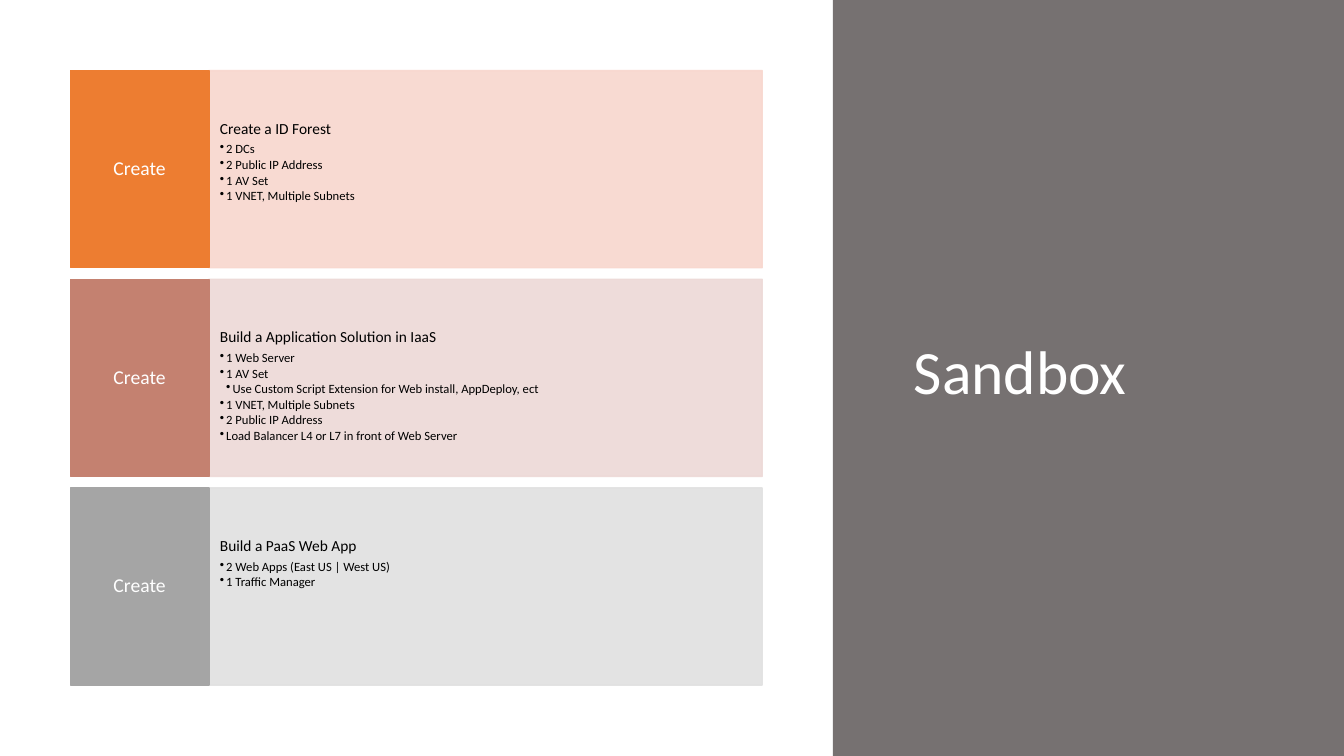
from lxml.etree import SubElement
from pptx import Presentation
from pptx.dml.color import RGBColor
from pptx.enum.shapes import MSO_SHAPE as Shape
from pptx.enum.text import MSO_ANCHOR as Anchor, PP_ALIGN as Align
from pptx.oxml.ns import qn
from pptx.util import Pt

WHITE = RGBColor(0xFF, 0xFF, 0xFF)
BLACK = RGBColor(0, 0, 0)
SLATE = RGBColor(0x76, 0x71, 0x71)
ORANGE, PEACH = RGBColor(0xED, 0x7D, 0x31), RGBColor(0xF8, 0xD7, 0xCE)
CLAY, ROSE = RGBColor(0xC4, 0x81, 0x70), RGBColor(0xED, 0xD9, 0xD7)
GRAY, PALE = RGBColor(0xA5, 0xA5, 0xA5), RGBColor(0xE1, 0xE1, 0xE1)
FONT = "Calibri"
WIDE, HIGH = 960, 540
STEP = 4.5  # bullet indent per level

# Each row: label, label colour, panel colour, heading, (level, bullet) pairs
ROWS = [
    ("Create", ORANGE, PEACH, "Create a ID Forest", [
        (1, "2 DCs"),
        (1, "2 Public IP Address"),
        (1, "1 AV Set"),
        (1, "1 VNET, Multiple Subnets")]),
    ("Create", CLAY, ROSE, "Build a Application Solution in IaaS", [
        (1, "1 Web Server"),
        (1, "1 AV Set"),
        (2, "Use Custom Script Extension for Web install, AppDeploy, ect"),
        (1, "1 VNET, Multiple Subnets"),
        (1, "2 Public IP Address"),
        (1, "Load Balancer L4 or L7 in front of Web Server")]),
    ("Create", GRAY, PALE, "Build a PaaS Web App", [
        (1, "2 Web Apps (East US | West US)"),
        (1, "1 Traffic Manager")]),
]


def add_rect(slide, x, y, w, h, color):
    rect = slide.shapes.add_shape(Shape.RECTANGLE, Pt(x), Pt(y), Pt(w), Pt(h))
    rect.shadow.inherit = False
    rect.fill.solid()
    rect.fill.fore_color.rgb = color
    rect.line.color.rgb = color
    rect.line.width = Pt(1)
    return rect


def set_frame(frame, anchor, side, edge):
    frame.word_wrap = True
    frame.vertical_anchor = anchor
    frame.margin_left = frame.margin_right = Pt(side)
    frame.margin_top = frame.margin_bottom = Pt(edge)


def style(para, size, color, align=Align.LEFT, after=0):
    para.alignment = align
    para.line_spacing = 0.9
    para.space_after = Pt(after)
    for run in para.runs:
        run.font.name = FONT
        run.font.size = Pt(size)
        run.font.color.rgb = color


def add_bullet(para, level):
    para.level = level
    props = para._p.get_or_add_pPr()
    props.set("marL", str(Pt(STEP * level)))
    props.set("indent", str(Pt(-STEP)))
    SubElement(props, qn("a:buChar")).set("char", "•")


def fade(shape, percent):
    """Set the opacity of the fill and the line."""
    for tint in shape._element.spPr.iter(qn("a:srgbClr")):
        SubElement(tint, qn("a:alpha")).set("val", str(percent * 1000))


def add_panel(slide, x, y, w, h, color, head, items):
    panel = add_rect(slide, x, y, w, h, color)
    fade(panel, 90)
    frame = panel.text_frame
    set_frame(frame, Anchor.TOP, 7.9, 36)
    frame.text = head
    style(frame.paragraphs[0], 11, BLACK, after=3.85)
    for level, text in items:
        para = frame.add_paragraph()
        para.text = text
        style(para, 9, BLACK, after=1.35)
        add_bullet(para, level)


def add_label(slide, x, y, w, h, color, text):
    frame = add_rect(slide, x, y, w, h, color).text_frame
    set_frame(frame, Anchor.MIDDLE, 5, 13.7)
    frame.text = text
    style(frame.paragraphs[0], 14, WHITE, Align.CENTER)


def add_rows(slide, x, y, w, h):
    gap, side = 8.2, 99
    tall = (h - gap * (len(ROWS) - 1)) / len(ROWS)
    for i, (label, dark, light, head, items) in enumerate(ROWS):
        top = y + i * (tall + gap)
        add_panel(slide, x + side, top, w - side, tall, light, head, items)
        add_label(slide, x, top, side, tall, dark, label)


def add_side(slide, x, y, w, h):
    add_rect(slide, x, y, w, h, SLATE).line.fill.background()
    box = slide.shapes.add_textbox(Pt(x + 50.6), Pt(y + 50.6), Pt(w - 76), Pt(433.4))
    set_frame(box.text_frame, Anchor.MIDDLE, 7.2, 3.6)
    box.text_frame.text = "Sandbox"
    style(box.text_frame.paragraphs[0], 44, WHITE)


def main():
    deck = Presentation()
    deck.slide_width, deck.slide_height = Pt(WIDE), Pt(HIGH)
    slide = deck.slides.add_slide(deck.slide_layouts[6])
    add_side(slide, 595, 0, WIDE - 595, HIGH)
    add_rows(slide, 50.2, 50.4, 494.3, 439)
    deck.save("out.pptx")


if __name__ == "__main__":
    main()
